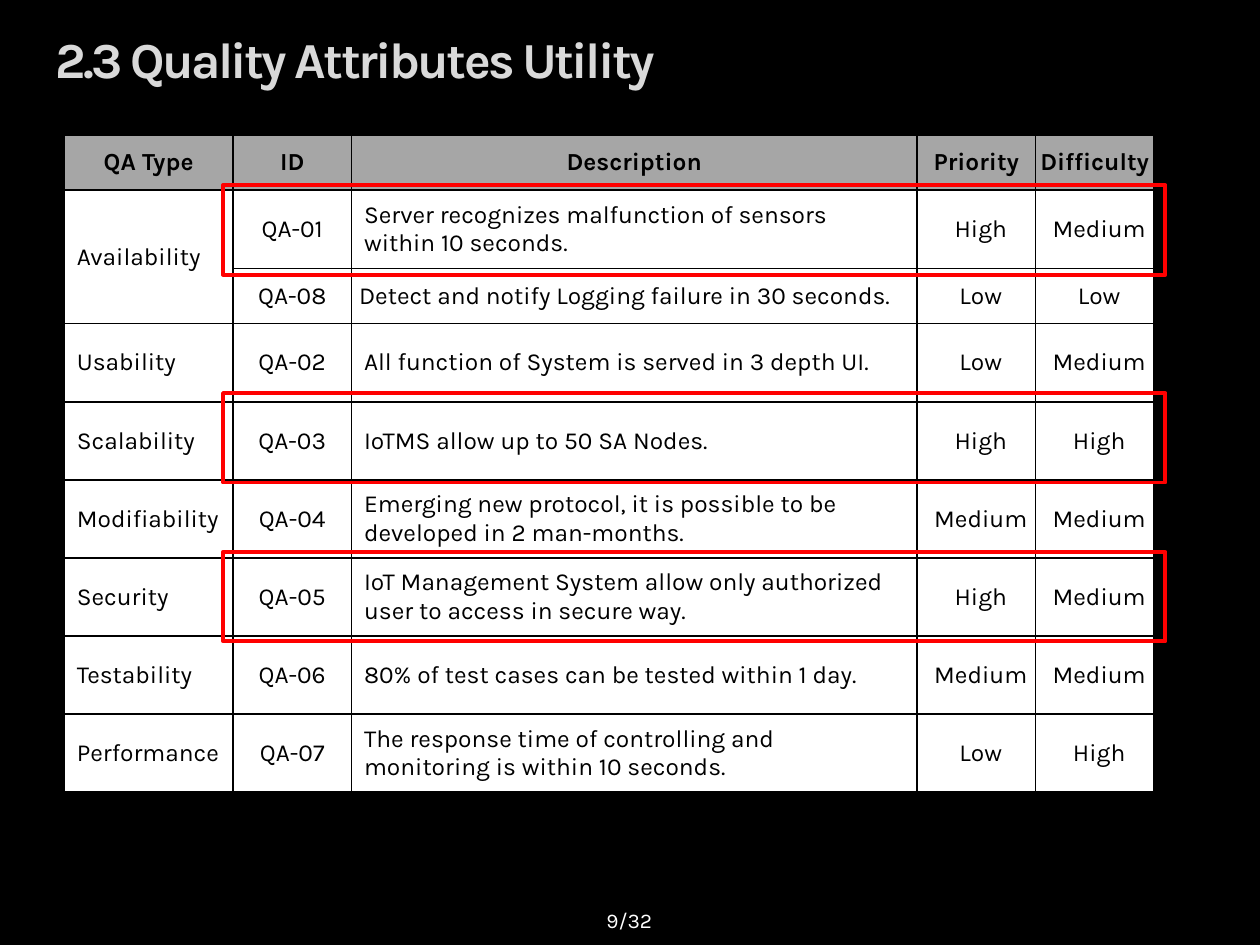
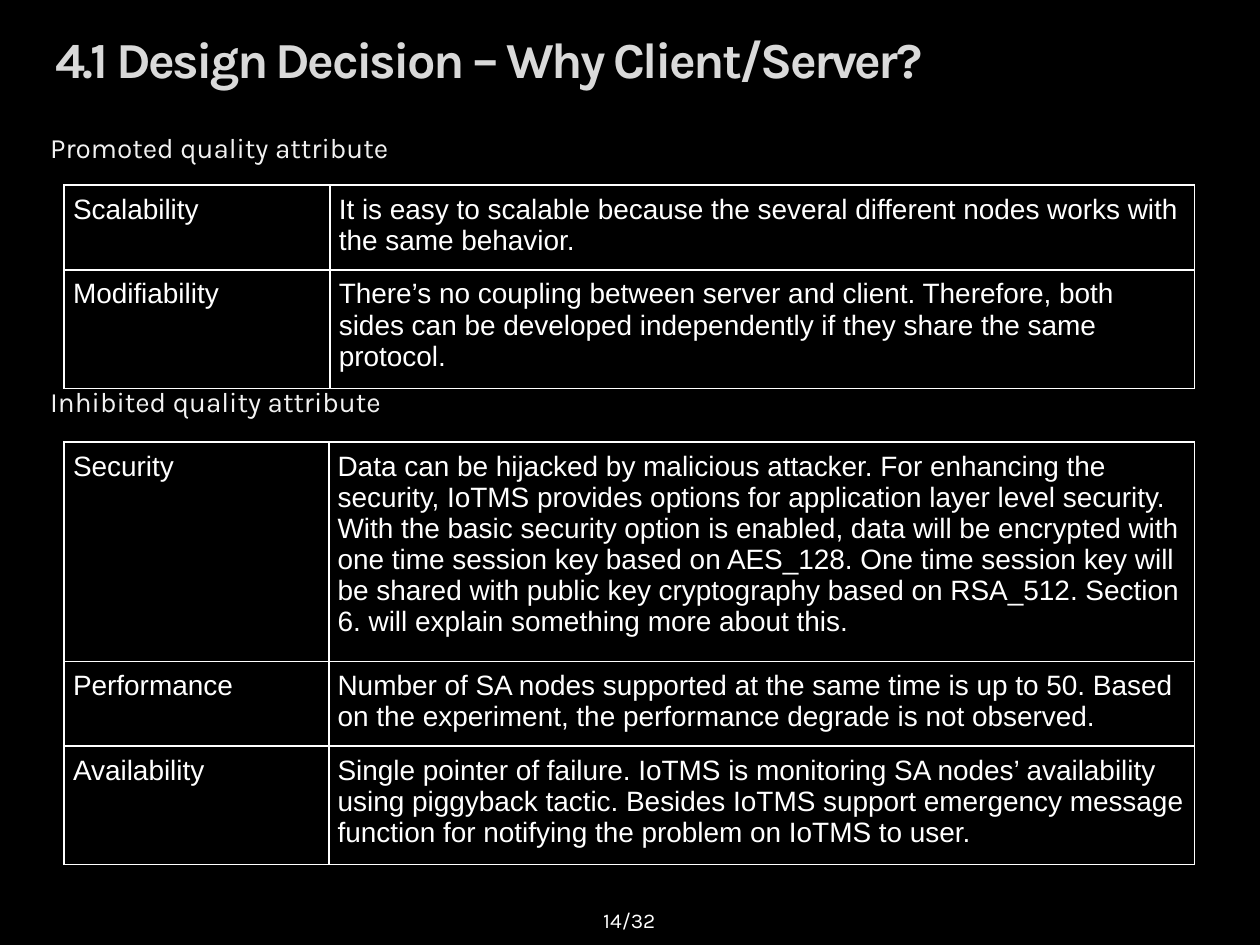
from dataclasses import dataclass

from pptx import Presentation
from pptx.dml.color import RGBColor
from pptx.enum.shapes import MSO_SHAPE
from pptx.enum.text import MSO_ANCHOR, MSO_AUTO_SIZE, PP_ALIGN
from pptx.oxml.ns import qn
from pptx.util import Inches, Pt
from lxml.etree import SubElement


@dataclass(frozen=True)
class Theme:
    black: str = "000000"
    white: str = "FFFFFF"
    title: str = "D9D9D9"
    subhead: str = "F2F2F2"
    header: str = "A6A6A6"
    frame: str = "FF0000"
    font: str = "Karla"
    table_font: str = "Arial"
    title_size: float = 28.8
    body_size: int = 16
    cell_size: int = 14
    page_size: int = 12


T = Theme()
TABLE_LEFT = 0.51
TIGHT = (0, 0, 0, 0)
NORMAL = (0.1, 0.05, 0.1, 0.05)
EVEN = (0.07, 0.07, 0.07, 0.07)

UTILITY = {
    "title": "2.3 Quality Attributes Utility",
    "page": "9/32",
    "top": 1.07,
    "cols": [1.34, 0.94, 4.49, 0.94, 0.94],
    "rows": [0.44, 0.62, 0.44] + [0.62] * 6,
    "cells": [
        ("QA Type", "ID", "Description", "Priority", "Difficulty"),
        ("Availability", "QA-01", "Server recognizes malfunction of sensors within 10 seconds.", "High", "Medium"),
        ("", "QA-08", "Detect and notify Logging failure in 30 seconds.", "Low", "Low"),
        ("Usability", "QA-02", "All function of System is served in 3 depth UI.", "Low", "Medium"),
        ("Scalability", "QA-03", "IoTMS allow up to 50 SA Nodes.", "High", "High"),
        ("Modifiability", "QA-04", "Emerging new protocol, it is possible to be developed in 2 man-months.",
         "Medium", "Medium"),
        ("Security", "QA-05", "IoT Management System allow only authorized user to access in secure way.",
         "High", "Medium"),
        ("Testability", "QA-06", "80% of test cases can be tested within 1 day.", "Medium", "Medium"),
        ("Performance", "QA-07", "The response time of controlling and monitoring is within 10 seconds.",
         "Low", "High"),
    ],
    "frame_tops": [1.47, 3.12, 4.38],
}

DECISION = {
    "title": "4.1 Design Decision – Why Client/Server?",
    "page": "14/32",
    "groups": [
        {
            "heading": "Promoted quality attribute", "heading_top": 0.99,
            "top": 1.47, "cols": [2.11, 6.86], "rows": [0.63, 0.88],
            "cells": [
                ("Scalability", "It is easy to scalable because the several different nodes works with "
                 "the same behavior."),
                ("Modifiability", "There’s no coupling between server and client. Therefore, both sides can be "
                 "developed independently if they share the same protocol."),
            ],
        },
        {
            "heading": "Inhibited quality attribute", "heading_top": 3,
            "top": 3.51, "cols": [2.1, 6.87], "rows": [1.62, 0.63, 0.88],
            "cells": [
                ("Security", "Data can be hijacked by malicious attacker. For enhancing the security, IoTMS "
                 "provides options for application layer level security. With the basic security option is "
                 "enabled, data will be encrypted with one time session key based on AES_128. One time session "
                 "key will be shared with public key cryptography based on RSA_512. Section 6. will explain "
                 "something more about this."),
                ("Performance", "Number of SA nodes supported at the same time is up to 50. Based on the "
                 "experiment, the performance degrade is not observed."),
                ("Availability", "Single pointer of failure. IoTMS is monitoring SA nodes’ availability using "
                 "piggyback tactic. Besides IoTMS support emergency message function for notifying the problem "
                 "on IoTMS to user."),
            ],
        },
    ],
}


def style(p, size, color, font=T.font, bold=False, align=PP_ALIGN.LEFT):
    p.alignment = align
    p.font.name, p.font.size, p.font.bold = font, Pt(size), bold
    p.font.color.rgb = RGBColor.from_string(color)


def add_text(s, text, box, size, color, align=PP_ALIGN.LEFT, anchor=MSO_ANCHOR.TOP):
    tf = s.shapes.add_textbox(*map(Inches, box)).text_frame
    tf.word_wrap, tf.vertical_anchor = True, anchor
    p = tf.paragraphs[0]
    p.text = text
    style(p, size, color, align=align)
    return p


def new_slide(prs, data):
    s = prs.slides.add_slide(prs.slide_layouts[5])
    sp = s.shapes.title
    sp.left, sp.top, sp.width, sp.height = map(Inches, (0.34, 0.21, 9.14, 0.51))
    tf = sp.text_frame
    tf.text = data["title"]
    tf.word_wrap, tf.auto_size = True, MSO_AUTO_SIZE.NONE
    tf.vertical_anchor = MSO_ANCHOR.MIDDLE
    p = tf.paragraphs[0]
    style(p, T.title_size, T.title, bold=True)
    p.runs[0].font._element.set("spc", "-150")
    add_text(s, data["page"], (3.83, 7.1, 2.33, 0.4), T.page_size, T.white,
             PP_ALIGN.CENTER, MSO_ANCHOR.MIDDLE)
    return s


def set_cell(cell, text, margins, border, fill=None, anchor=MSO_ANCHOR.TOP):
    cell.margin_left, cell.margin_top, cell.margin_right, cell.margin_bottom = map(Inches, margins)
    cell.vertical_anchor = anchor
    tc_pr = cell._tc.get_or_add_tcPr()
    for side in ("L", "R", "T", "B"):
        ln = SubElement(tc_pr, qn(f"a:ln{side}"), w=str(Pt(1)))
        SubElement(SubElement(ln, qn("a:solidFill")), qn("a:srgbClr"), val=border)
    if fill:
        cell.fill.solid()
        cell.fill.fore_color.rgb = RGBColor.from_string(fill)
    else:
        cell.fill.background()
    p = cell.text_frame.paragraphs[0]
    p.text = text
    return p


def add_grid(s, data):
    cols, rows = data["cols"], data["rows"]
    box = map(Inches, (TABLE_LEFT, data["top"], sum(cols), sum(rows)))
    tbl = s.shapes.add_table(len(rows), len(cols), *box).table
    tbl.first_row = tbl.horz_banding = False
    for col, w in zip(tbl.columns, cols):
        col.width = Inches(w)
    for row, h in zip(tbl.rows, rows):
        row.height = Inches(h)
    return tbl


def utility_margins(r, c):
    if c >= 3:
        return TIGHT
    if r == 2 and c:
        return (0.06 if c == 2 else 0.01, 0.01, 0.01, 0)
    return NORMAL


def build_utility(prs):
    s = new_slide(prs, UTILITY)
    tbl = add_grid(s, UTILITY)
    for r, row in enumerate(UTILITY["cells"]):
        head = r == 0
        for c, text in enumerate(row):
            p = set_cell(tbl.cell(r, c), text, utility_margins(r, c), T.black,
                         T.header if head else T.white, MSO_ANCHOR.MIDDLE)
            align = PP_ALIGN.CENTER if head or c not in (0, 2) else PP_ALIGN.LEFT
            style(p, T.cell_size, T.black, bold=head, align=align)
            if c >= 3 and not head:
                p.space_after = Pt(2)
                p._p.get_or_add_pPr().set("indent", str(Inches(0.07)))
    tbl.cell(1, 0).merge(tbl.cell(2, 0))
    for top in UTILITY["frame_tops"]:
        sp = s.shapes.add_shape(MSO_SHAPE.RECTANGLE, *map(Inches, (1.77, top, 7.48, 0.71)))
        sp.shadow.inherit = False
        sp.fill.background()
        sp.line.color.rgb = RGBColor.from_string(T.frame)
        sp.line.width = Pt(2.25)


def build_decision(prs):
    s = new_slide(prs, DECISION)
    for group in DECISION["groups"]:
        p = add_text(s, group["heading"], (0.3, group["heading_top"], 9.31, 0.79), T.body_size, T.subhead)
        p.space_before = Pt(2)
        tbl = add_grid(s, group)
        for r, row in enumerate(group["cells"]):
            for c, text in enumerate(row):
                p = set_cell(tbl.cell(r, c), text, EVEN, T.white)
                style(p, T.body_size, T.white, font=T.table_font)


def main():
    prs = Presentation()
    prs.slide_width, prs.slide_height = Inches(10), Inches(7.5)
    fill = prs.slide_master.background.fill
    fill.solid()
    fill.fore_color.rgb = RGBColor.from_string(T.black)
    build_utility(prs)
    build_decision(prs)
    prs.save("out.pptx")


if __name__ == "__main__":
    main()
